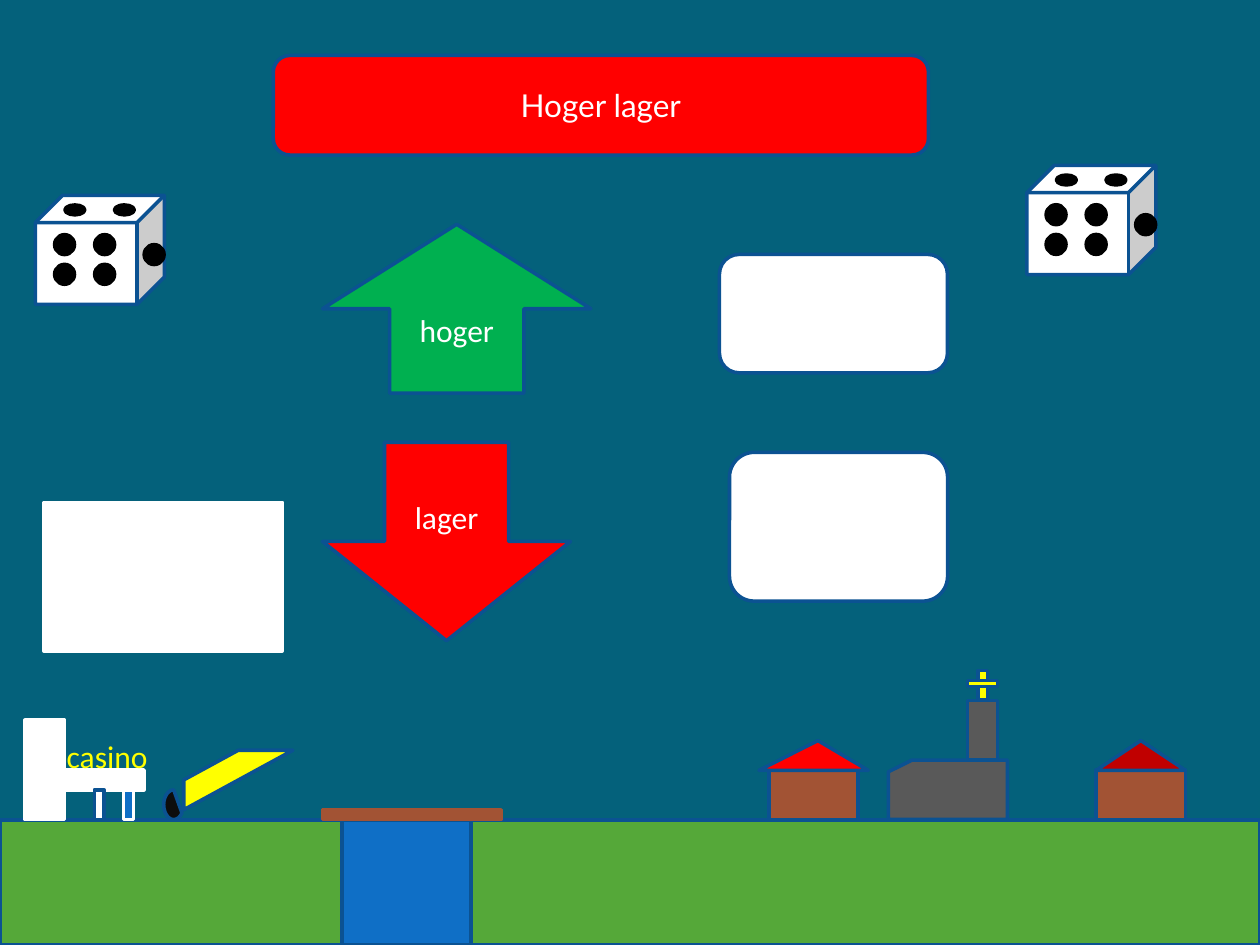
from pptx import Presentation
from pptx.dml.color import RGBColor
from pptx.enum.shapes import MSO_SHAPE as Kind
from pptx.enum.text import MSO_ANCHOR, MSO_AUTO_SIZE, PP_ALIGN
from pptx.util import Pt

TEAL = RGBColor(0x04, 0x61, 0x7B)
NAVY = RGBColor(0x0B, 0x52, 0x92)
BLUE = RGBColor(0x0F, 0x6F, 0xC6)
RED = RGBColor(0xFF, 0x00, 0x00)
DARK_RED = RGBColor(0xC0, 0x00, 0x00)
GREEN = RGBColor(0x00, 0xB0, 0x50)
GRASS = RGBColor(0x55, 0xA8, 0x39)
BROWN = RGBColor(0xA2, 0x53, 0x34)
GRAY = RGBColor(0x59, 0x59, 0x59)
YELLOW = RGBColor(0xFF, 0xFF, 0x00)
WHITE = RGBColor(0xFF, 0xFF, 0xFF)
BLACK = RGBColor(0x00, 0x00, 0x00)
NEAR_BLACK = RGBColor(0x0D, 0x0D, 0x0D)

LABELLED = [
    (Kind.DOWN_ARROW, (184.3, 252.7, 141.7, 113.4), RED, "lager", "Calibri"),
    (Kind.UP_ARROW, (184.3, 128.2, 153.4, 96.5), GREEN, "hoger", "Calibri"),
    (Kind.ROUNDED_RECTANGLE, (156.2, 31.7, 374.4, 56.9), RED, "Hoger lager", "Lato"),
]
CARDS = [(411.1, 145.4, 130.3, 67.7), (416.9, 258.5, 124.6, 85)]
LANDSCAPE = [
    (Kind.RECTANGLE, (0, 468.7, 720, 71.3), GRASS, NAVY),
    (Kind.RECTANGLE, (626.4, 440, 51, 28.3), BROWN, NAVY),
    (Kind.ISOSCELES_TRIANGLE, (626.4, 423.2, 51, 17), DARK_RED, NAVY),
    (Kind.RECTANGLE, (553, 400.3, 17, 34), GRAY, NAVY),
    (Kind.RECTANGLE, (558.7, 383.2, 5.7, 17), YELLOW, NAVY),
    (Kind.RECTANGLE, (553, 388.9, 17, 3.4), YELLOW, NAVY),
    (Kind.FLOWCHART_CARD, (507.6, 434.3, 68, 34), GRAY, NAVY),
    (Kind.RECTANGLE, (439.4, 440, 51, 28.3), BROWN, NAVY),
    (Kind.ISOSCELES_TRIANGLE, (433.7, 423.2, 62.4, 17), RED, NAVY, 0.54),
    (Kind.RECTANGLE, (195.6, 468.7, 73.7, 71.3), BLUE, NAVY),
    (Kind.CHORD, (93.6, 451.4, 11.4, 17), NEAR_BLACK, NAVY),
    (Kind.DIAGONAL_STRIPE, (105, 428.7, 62.4, 34), YELLOW, NAVY),
]
DICE = [(20.2, 111.6), (586.8, 94.5)]
DIE_SIZE = (73.7, 62.4)
ROUND_PIP = (11.4, 11.4)
FLAT_PIP = (11.4, 5.7)
PIPS = [
    (11, 22.5, ROUND_PIP), (33.9, 22.5, ROUND_PIP),
    (11, 39.5, ROUND_PIP), (33.9, 39.5, ROUND_PIP),
    (62.2, 28.2, ROUND_PIP),
    (16.9, 5.5, FLAT_PIP), (45.2, 5.5, FLAT_PIP),
]
CASINO = [
    ((14.2, 411.6, 22.7, 56.7), WHITE, WHITE),
    ((36.9, 440, 45.4, 11.4), WHITE, WHITE),
    ((70.6, 451.4, 5.7, 17), BLUE, WHITE),
    ((53.9, 451.4, 5.7, 17), WHITE, NAVY),
]
CASINO_SIGN = (31, 417.6, 67.7, 28.8)
FRONT = [
    ((184.3, 462.7, 102, 5.7), BROWN, BROWN),
    ((25.2, 287.1, 136.1, 85), WHITE, WHITE),
]


def add_shape(slide, kind, box, fill, line, adjustment=None):
    shape = slide.shapes.add_shape(kind, *map(Pt, box))
    shape.shadow.inherit = False
    shape.fill.solid()
    shape.fill.fore_color.rgb = fill
    shape.line.color.rgb = line
    shape.line.width = Pt(2)
    if adjustment is not None:
        shape.adjustments[0] = adjustment
    return shape


def write(shape, text, font, color, align):
    paragraph = shape.text_frame.paragraphs[0]
    paragraph.alignment = align
    run = paragraph.add_run()
    run.text = text
    run.font.name = font
    run.font.size = Pt(18)
    run.font.color.rgb = color


def add_die(slide, left, top):
    add_shape(slide, Kind.CUBE, (left, top, *DIE_SIZE), WHITE, NAVY)
    for x, y, size in PIPS:
        add_shape(slide, Kind.OVAL, (left + x, top + y, *size), BLACK, BLACK)


def main():
    presentation = Presentation()
    presentation.slide_width = Pt(720)
    presentation.slide_height = Pt(540)
    slide = presentation.slides.add_slide(presentation.slide_layouts[6])
    slide.background.fill.solid()
    slide.background.fill.fore_color.rgb = TEAL

    for kind, box, fill, text, font in LABELLED:
        shape = add_shape(slide, kind, box, fill, NAVY)
        shape.text_frame.vertical_anchor = MSO_ANCHOR.MIDDLE
        write(shape, text, font, WHITE, PP_ALIGN.CENTER)
    for box in CARDS:
        add_shape(slide, Kind.ROUNDED_RECTANGLE, box, WHITE, NAVY)
    for item in LANDSCAPE:
        add_shape(slide, *item)
    for left, top in DICE:
        add_die(slide, left, top)
    for box, fill, line in CASINO:
        add_shape(slide, Kind.RECTANGLE, box, fill, line)

    sign = slide.shapes.add_textbox(*map(Pt, CASINO_SIGN))
    sign.text_frame.word_wrap = True
    sign.text_frame.auto_size = MSO_AUTO_SIZE.SHAPE_TO_FIT_TEXT
    write(sign, "casino", "Calibri", YELLOW, PP_ALIGN.LEFT)

    for box, fill, line in FRONT:
        add_shape(slide, Kind.RECTANGLE, box, fill, line)
    presentation.save("out.pptx")


if __name__ == "__main__":
    main()
